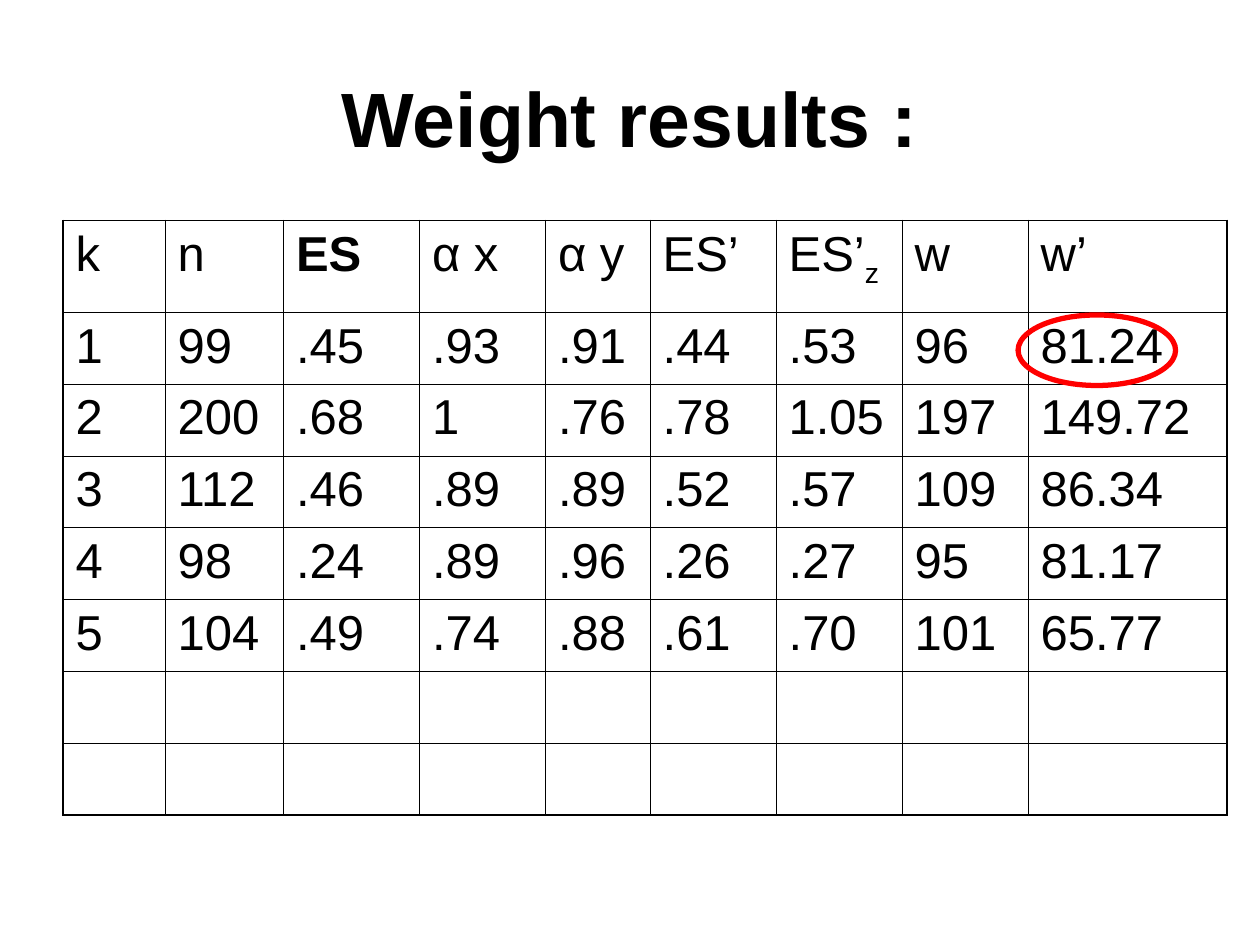
from lxml import etree
from pptx import Presentation
from pptx import util as u
from pptx.dml.color import RGBColor
from pptx.enum import shapes, text
from pptx.oxml.ns import qn

BLACK = RGBColor(0x00, 0x00, 0x00)
RED = RGBColor(0xFF, 0x00, 0x00)
THIN, THICK = 0.45, 1.08

COLUMN_WIDTHS = [0.81, 0.94, 1.08, 1, 0.83, 1, 1, 1, 1.58]
ROW_HEIGHTS = [0.73] + [0.57] * 7
TABLE_LEFT, TABLE_TOP = 0.5, 1.75
ROWS = [
    ["k", "n", "ES", "α x", "α y", "ES’", "ES’", "w", "w’"],
    ["1", "99", ".45", ".93", ".91", ".44", ".53", "96", "81.24"],
    ["2", "200", ".68", "1", ".76", ".78", "1.05", "197", "149.72"],
    ["3", "112", ".46", ".89", ".89", ".52", ".57", "109", "86.34"],
    ["4", "98", ".24", ".89", ".96", ".26", ".27", "95", "81.17"],
    ["5", "104", ".49", ".74", ".88", ".61", ".70", "101", "65.77"],
]


def add_text(paragraph, words, size=28, bold=False, baseline=None):
    run = paragraph.add_run()
    run.text = words
    run.font.name = "Arial"
    run.font.size = u.Pt(size)
    run.font.bold = bold
    run.font.color.rgb = BLACK
    if baseline is not None:
        run._r.get_or_add_rPr().set("baseline", str(baseline * 1000))


def set_borders(cell, widths):
    """Draw the left, right, top and bottom borders, with widths in points."""
    properties = cell._tc.get_or_add_tcPr()
    for side, width in zip("LRTB", widths):
        line = etree.SubElement(properties, qn(f"a:ln{side}"), w=str(u.Pt(width)))
        fill = etree.SubElement(line, qn("a:solidFill"))
        etree.SubElement(fill, qn("a:srgbClr"), val=str(BLACK))


presentation = Presentation()
presentation.slide_width = u.Inches(10)
presentation.slide_height = u.Inches(7.5)
slide = presentation.slides.add_slide(presentation.slide_layouts[5])

title = slide.shapes.title
title.left, title.top = u.Inches(0.5), u.Inches(0.3)
title.width, title.height = u.Inches(9), u.Inches(1.25)
title.text_frame.vertical_anchor = text.MSO_ANCHOR.MIDDLE
title_paragraph = title.text_frame.paragraphs[0]
title_paragraph.alignment = text.PP_ALIGN.CENTER
add_text(title_paragraph, "Weight results :", size=44, bold=True)

last_row, last_column = len(ROW_HEIGHTS) - 1, len(COLUMN_WIDTHS) - 1
table = slide.shapes.add_table(
    last_row + 1, last_column + 1, u.Inches(TABLE_LEFT), u.Inches(TABLE_TOP),
    u.Inches(sum(COLUMN_WIDTHS)), u.Inches(sum(ROW_HEIGHTS))).table
table.first_row = False
table.horz_banding = False
for column, width in zip(table.columns, COLUMN_WIDTHS):
    column.width = u.Inches(width)
for row, height in zip(table.rows, ROW_HEIGHTS):
    row.height = u.Inches(height)

for r in range(last_row + 1):
    for c in range(last_column + 1):
        cell = table.cell(r, c)
        outer_sides = (c == 0, c == last_column, r == 0, r == last_row)
        set_borders(cell, [THICK if outer else THIN for outer in outer_sides])
        cell.fill.background()
        if r < len(ROWS):
            add_text(cell.text_frame.paragraphs[0], ROWS[r][c],
                     bold=ROWS[r][c] == "ES")
add_text(table.cell(0, 6).text_frame.paragraphs[0], "z", baseline=-25)

# Ring around the first weight in the last column
ring = slide.shapes.add_shape(
    shapes.MSO_SHAPE.OVAL,
    u.Inches(TABLE_LEFT + sum(COLUMN_WIDTHS[:-1]) - 0.08),
    u.Inches(TABLE_TOP + ROW_HEIGHTS[0] + 0.02),
    u.Inches(1.25), u.Inches(0.56))
ring.shadow.inherit = False
ring.fill.background()
ring.line.color.rgb = RED
ring.line.width = u.Pt(3)

presentation.save("out.pptx")
